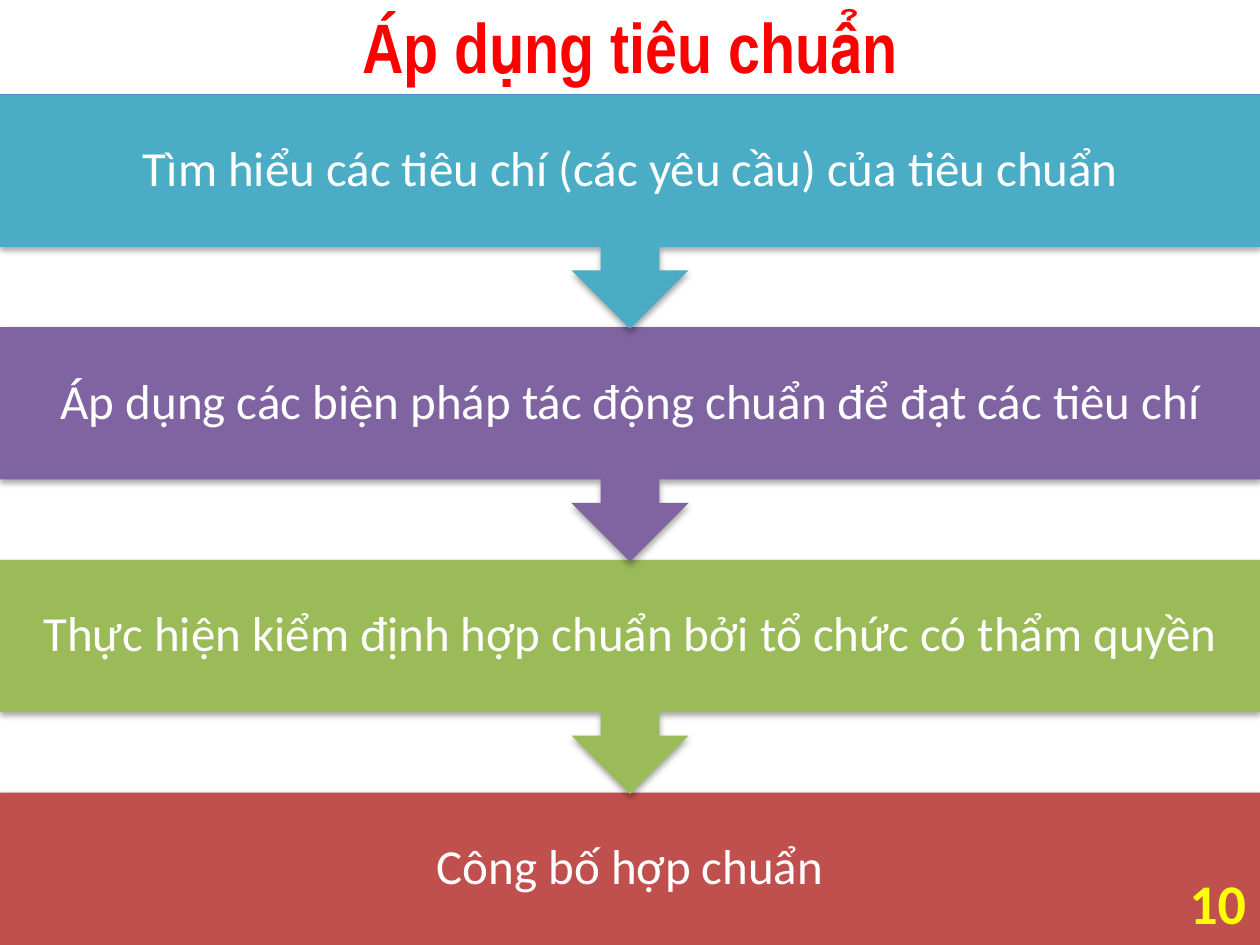
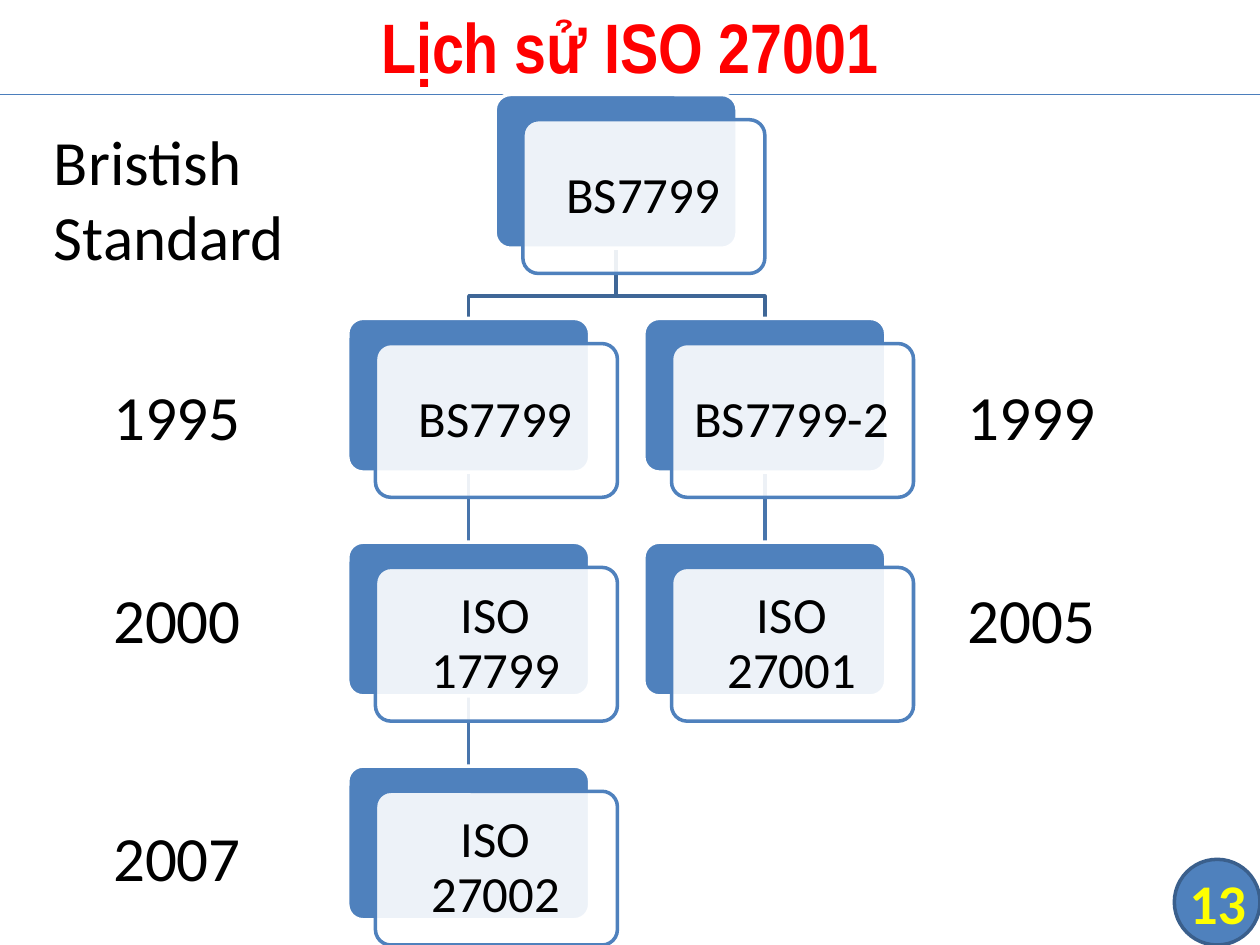
import pptx
import pptx.util
import pptx.dml.color
import pptx.enum.shapes
import pptx.enum.text
import pptx.oxml
import pptx.oxml.ns
from lxml import etree

Inches = pptx.util.Inches
Pt = pptx.util.Pt
RGBColor = pptx.dml.color.RGBColor
Shape = pptx.enum.shapes.MSO_SHAPE
Align = pptx.enum.text.PP_ALIGN
Anchor = pptx.enum.text.MSO_ANCHOR
qn = pptx.oxml.ns.qn

# Colours
WHITE = RGBColor(0xFF, 0xFF, 0xFF)
BLACK = RGBColor(0x00, 0x00, 0x00)
RED = RGBColor(0xFF, 0x00, 0x00)
YELLOW = RGBColor(0xFF, 0xFF, 0x00)
BLUE = RGBColor(0x4F, 0x81, 0xBD)
BADGE_EDGE = RGBColor(0x3A, 0x5F, 0x8C)
RULE_BLUE = RGBColor(0x4B, 0x7E, 0xBC)
BRANCH_BLUE = RGBColor(0x3F, 0x67, 0x97)
LINK_BLUE = RGBColor(0x48, 0x75, 0xAC)
TEAL = RGBColor(0x4B, 0xAC, 0xC6)
PURPLE = RGBColor(0x80, 0x64, 0xA2)
GREEN = RGBColor(0x9B, 0xBB, 0x59)
BRICK = RGBColor(0xC0, 0x50, 0x4D)

# Shared layout, in inches
SLIDE_WIDTH, SLIDE_HEIGHT = 10, 7.5
HEADER = 0.75

# Flow of steps
STEP_PITCH = (6.29 - HEADER) / 3
STEP_HEIGHT, CALLOUT_HEIGHT = 1.21, 1.86
STEPS = [
    ("Tìm hiểu các tiêu chí (các yêu cầu) của tiêu chuẩn", TEAL),
    ("Áp dụng các biện pháp tác động chuẩn để đạt các tiêu chí", PURPLE),
    ("Thực hiện kiểm định hợp chuẩn bởi tổ chức có thẩm quyền", GREEN),
    ("Công bố hợp chuẩn", BRICK),
]

# Tree of standards: (text, left, row)
CARD_WIDTH, CARD_HEIGHT = 1.92, 1.22
ROW_PITCH = (6.08 - HEADER) / 3
ROOT_LEFT, LEFT_COLUMN, RIGHT_COLUMN = 3.93, 2.76, 5.11
STANDARDS = [
    ("BS7799", ROOT_LEFT, 0),
    ("BS7799", LEFT_COLUMN, 1),
    ("ISO 17799", LEFT_COLUMN, 2),
    ("ISO 27002", LEFT_COLUMN, 3),
    ("BS7799-2", RIGHT_COLUMN, 1),
    ("ISO 27001", RIGHT_COLUMN, 2),
]
LINKS = [(RIGHT_COLUMN, 1), (LEFT_COLUMN, 2), (LEFT_COLUMN, 1)]

# Labels beside the tree: (text, left, top, width, height)
LABELS = [
    ("1995", 0.8, 2.95, 1.32, 0.71),
    ("1999", 7.58, 2.95, 1.32, 0.71),
    ("2005", 7.58, 4.56, 1.32, 0.71),
    ("2000", 0.8, 4.56, 1.32, 0.71),
    ("Bristish\nStandard", 0.33, 0.92, 2.25, 1.31),
    ("2007", 0.8, 6.45, 1.3, 0.71),
]


def add_text(page, text, left, top, width, height, size=28, color=BLACK,
             font="Calibri", bold=False, align=Align.CENTER,
             anchor=Anchor.MIDDLE, inset=None, spacing=None, wrap=True):
    box = page.shapes.add_textbox(Inches(left), Inches(top),
                                  Inches(width), Inches(height))
    frame = box.text_frame
    frame.word_wrap = wrap
    frame.vertical_anchor = anchor
    if inset is not None:
        frame.margin_left = frame.margin_right = Inches(inset)
        frame.margin_top = frame.margin_bottom = Inches(inset)
    para = frame.paragraphs[0]
    para.alignment = align
    if spacing:
        para.line_spacing = spacing
    for index, line in enumerate(text.split("\n")):
        if index:
            para.add_line_break()
        span = para.add_run()
        span.text = line
        span.font.name = font
        span.font.size = Pt(size)
        span.font.bold = bold
        span.font.color.rgb = color


def add_block(page, kind, left, top, width, height, fill, line=None):
    block = page.shapes.add_shape(kind, Inches(left), Inches(top),
                                  Inches(width), Inches(height))
    block.shadow.inherit = False
    block.fill.solid()
    block.fill.fore_color.rgb = fill
    if line is None:
        block.line.fill.background()
    else:
        block.line.color.rgb = line
        block.line.width = Pt(2)
    return block


def add_drop_shadow(block):
    effects = block._element.spPr.find(qn("a:effectLst"))
    shadow = etree.SubElement(effects, qn("a:outerShdw"), blurRad="40000",
                              dist="23000", dir="5400000", rotWithShape="0")
    color = etree.SubElement(shadow, qn("a:srgbClr"), val="000000")
    etree.SubElement(color, qn("a:alpha"), val="35000")


def set_opacity(block, percent):
    color = block._element.spPr.find(qn("a:solidFill"))[0]
    etree.SubElement(color, qn("a:alpha"), val=str(percent * 1000))


def add_line(page, x1, y1, x2, y2, color, width):
    line = page.shapes.add_connector(
        pptx.enum.shapes.MSO_CONNECTOR.STRAIGHT,
        Inches(x1), Inches(y1), Inches(x2), Inches(y2))
    line.line.color.rgb = color
    line.line.width = Pt(width)
    etree.SubElement(line._element.spPr, qn("a:effectLst"))


def add_branch(page, points):
    corners = [(Inches(x), Inches(y)) for x, y in points]
    builder = page.shapes.build_freeform(*corners[0])
    builder.add_line_segments(corners[1:], close=False)
    branch = builder.convert_to_shape()
    branch.shadow.inherit = False
    branch.fill.background()
    branch.line.color.rgb = BRANCH_BLUE
    branch.line.width = Pt(2)


def start_page(deck):
    """Add a blank page with the badge and the rule under the header."""
    page = deck.slides.add_slide(deck.slide_layouts[6])
    add_block(page, Shape.FLOWCHART_CONNECTOR, 9.32, 6.82, 0.68, 0.68,
              BLUE, BADGE_EDGE)
    add_line(page, 0, HEADER, SLIDE_WIDTH, HEADER, RULE_BLUE, 0.75)
    return page


def add_title_and_number(page, title, number):
    add_text(page, title, 0, -0.03, SLIDE_WIDTH, 0.78, size=40, color=RED,
             font="Arial Narrow", bold=True)
    add_text(page, number, 9.33, 6.82, 0.67, 0.68, size=32, color=YELLOW,
             bold=True, inset=0)


def add_step(page, text, color, index):
    top = HEADER + index * STEP_PITCH
    if index == len(STEPS) - 1:
        block = add_block(page, Shape.RECTANGLE, 0, top,
                          SLIDE_WIDTH, STEP_HEIGHT, color)
    else:
        block = add_block(page, Shape.UP_ARROW_CALLOUT, 0, top,
                          SLIDE_WIDTH, CALLOUT_HEIGHT, color)
        block.rotation = 180
    add_drop_shadow(block)
    add_text(page, text, 0, top, SLIDE_WIDTH, STEP_HEIGHT, color=WHITE,
             inset=0.22, spacing=0.9)


def row_top(row):
    return HEADER + row * ROW_PITCH


def add_card(page, text, left, row):
    top = row_top(row)
    back = add_block(page, Shape.ROUNDED_RECTANGLE, left, top,
                     CARD_WIDTH, CARD_HEIGHT, BLUE, WHITE)
    front = add_block(page, Shape.ROUNDED_RECTANGLE, left + 0.22, top + 0.2,
                      CARD_WIDTH, CARD_HEIGHT, WHITE, BLUE)
    set_opacity(front, 90)
    for block in (back, front):
        block.adjustments[0] = 0.1
    add_text(page, text, left + 0.25, top + 0.24, 1.85, 1.15, size=29,
             inset=0.12, spacing=0.9)


def build_steps_page(deck):
    page = start_page(deck)
    # Later steps lie behind, so each arrow tip overlaps the next band
    for index, (text, color) in reversed(list(enumerate(STEPS))):
        add_step(page, text, color, index)
    add_title_and_number(page, "Áp dụng tiêu chuẩn", "10")


def build_history_page(deck):
    page = start_page(deck)
    add_title_and_number(page, "Lịch sử ISO 27001", "13")
    # Links between cards
    half = CARD_WIDTH / 2
    for left, row in LINKS:
        add_line(page, left + half, row_top(row) + CARD_HEIGHT,
                 left + half, row_top(row + 1), LINK_BLUE, 2)
    for left in (RIGHT_COLUMN, LEFT_COLUMN):
        add_branch(page, [(ROOT_LEFT + half, HEADER + CARD_HEIGHT),
                          (ROOT_LEFT + half, 2.35),
                          (left + half, 2.35),
                          (left + half, row_top(1))])
    # Cards and labels
    for text, left, row in STANDARDS:
        add_card(page, text, left, row)
    for label in LABELS:
        add_text(page, *label, size=36, align=Align.LEFT, anchor=Anchor.TOP,
                 wrap=False)


def main():
    deck = pptx.Presentation()
    deck.slide_width = Inches(SLIDE_WIDTH)
    deck.slide_height = Inches(SLIDE_HEIGHT)
    build_steps_page(deck)
    build_history_page(deck)
    deck.save("out.pptx")


if __name__ == "__main__":
    main()
